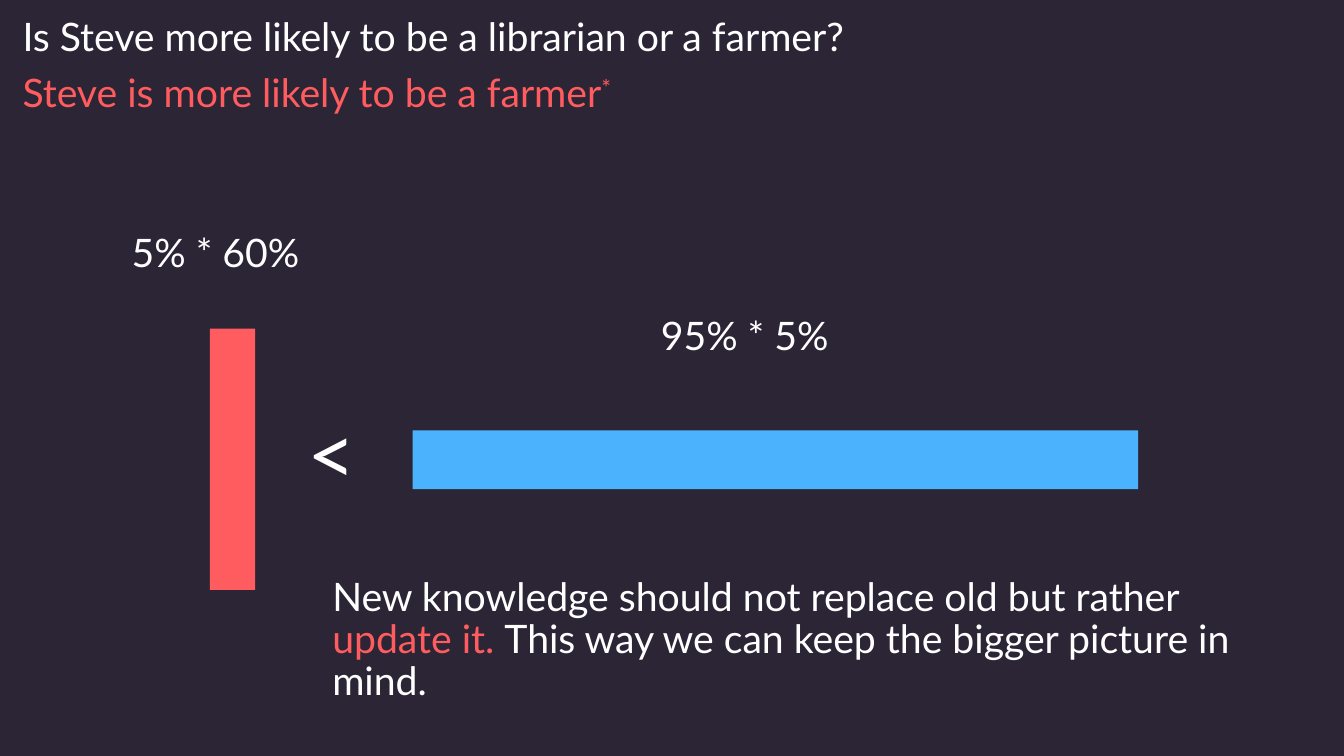
from pptx import Presentation
from pptx.util import Pt
from pptx.dml.color import RGBColor
from pptx.enum.shapes import MSO_SHAPE

RECT = MSO_SHAPE.RECTANGLE
PX = 9525
HUES = {"back": "2C2536", "white": "FFFFFF", "red": "FE5C5E", "blue": "4BB3FD"}
HUES = {name: RGBColor.from_string(code) for name, code in HUES.items()}

deck = Presentation()
deck.slide_width, deck.slide_height = 1280 * PX, 720 * PX
slide = deck.slides.add_slide(deck.slide_layouts[6])
slide.background.fill.solid()
slide.background.fill.fore_color.rgb = HUES["back"]


def add_text(box, size, lines):
    frame = slide.shapes.add_textbox(*[n * PX for n in box]).text_frame
    frame.word_wrap = True
    for i, line in enumerate(lines):
        para = frame.add_paragraph() if i else frame.paragraphs[0]
        para.line_spacing = 0.9
        para.space_before = Pt(10)
        para.font.name = "Lato"
        para.font.size = Pt(size)
        for words, hue in line:
            run = para.add_run()
            run.text = words
            run.font.color.rgb = HUES[hue]
    return frame


title = add_text((12, 12, 1104, 122), 28, [
    [("Is Steve more likely to be a librarian or a farmer?", "white")],
    [("Steve is more likely to be a farmer", "red"), ("*", "red")],
])
star = title.paragraphs[1].runs[1]
star.font._element.set("baseline", "30000")

for box, hue in [((200, 313, 43, 249), "red"), ((393, 410, 691, 56), "blue")]:
    bar = slide.shapes.add_shape(RECT, *[n * PX for n in box])
    bar.shadow.inherit = False
    bar.fill.solid()
    bar.fill.fore_color.rgb = HUES[hue]
    bar.line.fill.background()

for left, top, size, words in [
    (116, 218, 28, "5% * 60%"),
    (620, 297, 28, "95% * 5%"),
    (283, 389, 60, "<"),
]:
    add_text((left, top, 237, 66), size, [[(words, "white")]])

add_text((307, 545, 905, 146), 28, [[
    ("New knowledge should not replace old but rather ", "white"),
    ("update it. ", "red"),
    ("This way we can keep the bigger picture in mind.", "white"),
]])

deck.save("out.pptx")
